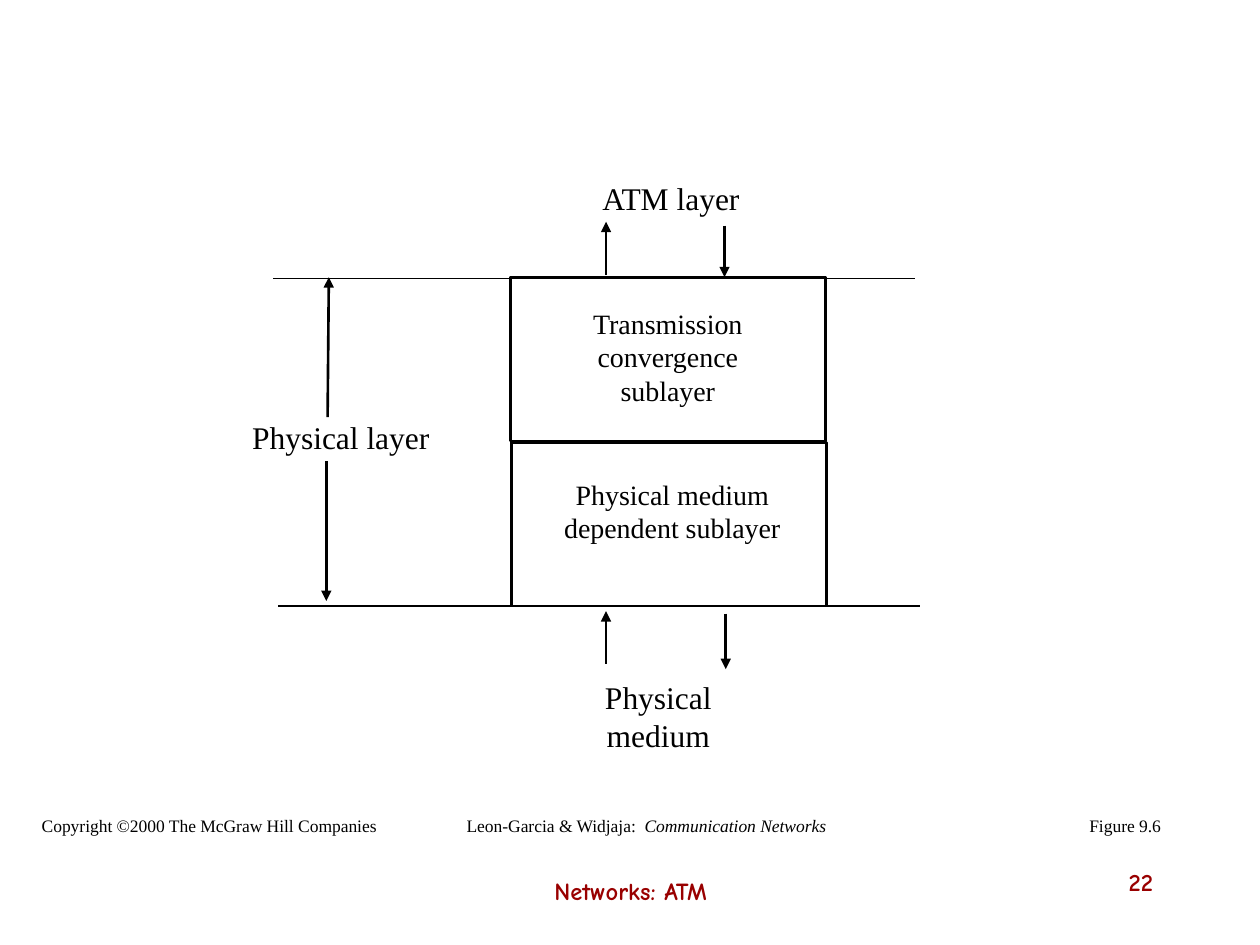
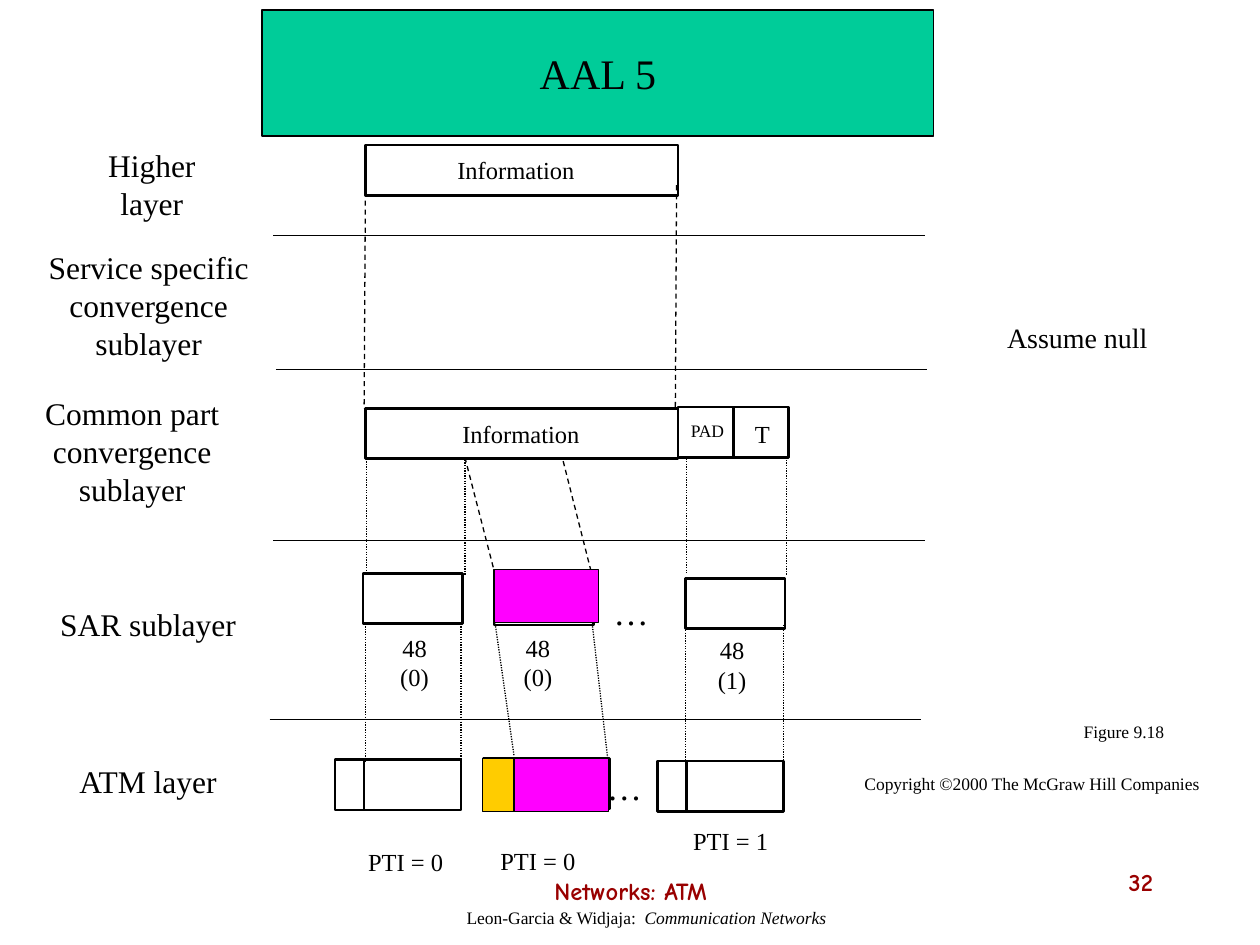
from lxml import etree
from pptx import Presentation
from pptx.dml.color import RGBColor
from pptx.enum.dml import MSO_LINE as Dash
from pptx.enum.shapes import MSO_CONNECTOR as Connector, MSO_SHAPE as Shape
from pptx.enum.text import MSO_ANCHOR as Anchor, MSO_AUTO_SIZE as AutoSize, PP_ALIGN as Align
from pptx.oxml.ns import qn
from pptx.util import Emu, Pt

PX = 9144  # 100 px to the inch
COLORS = {"ink": "000000", "footer": "990000", "title": "00CC99",
          "payload": "FF00FF", "header": "FFCC00"}
SERIF, COMIC = "Times New Roman", "Comic Neue"
TITLE_ONLY, BLANK = 5, 6
THIN, THICK = 0.75, 1.5


def px(*lengths):
    return [Emu(length * PX) for length in lengths]


def color(name):
    return RGBColor.from_string(COLORS[name])


class Deck:
    def __init__(self):
        self.presentation = Presentation()
        self.presentation.slide_width, self.presentation.slide_height = px(1000, 750)

    def new_slide(self, number, title=None):
        layout = self.presentation.slide_layouts[BLANK if title is None else TITLE_ONLY]
        self.slide = self.presentation.slides.add_slide(layout)
        if title is not None:
            self.title(title)
        footer = {"size": 14, "name": COMIC, "bold": True, "ink": "footer", "anchor": Anchor.TOP}
        self.label("Networks: ATM", 342, 690, 317, 42, **footer)
        self.label(number, 717, 683, 208, 50, align=Align.RIGHT, **footer)

    def title(self, text):
        shape = self.slide.shapes.title
        shape.left, shape.top, shape.width, shape.height = px(208, 8, 533, 100)
        self.paint(shape, "title", THIN)
        self.set_text(shape.text_frame, [(text, {})], size=24)

    def paint(self, shape, fill, weight):
        if fill:
            shape.fill.solid()
            shape.fill.fore_color.rgb = color(fill)
        else:
            shape.fill.background()
        shape.line.color.rgb = color("ink")
        shape.line.width = Pt(weight)

    def set_text(self, frame, runs, size, name=SERIF, ink="ink", anchor=Anchor.MIDDLE,
                 align=Align.CENTER, wrap=True, **font_format):
        frame.word_wrap, frame.auto_size = wrap, AutoSize.NONE
        frame.vertical_anchor = anchor
        paragraph = frame.paragraphs[0]
        paragraph.alignment = align
        for text, run_format in runs:
            run = paragraph.add_run()
            run.text = text
            run.font.color.rgb = color(ink)
            values = {"size": Pt(size), "name": name, **font_format, **run_format}
            for attribute, value in values.items():
                setattr(run.font, attribute, value)

    def label(self, text, left, top, width, height, size=18, **text_format):
        """Add a text box; text is a string or a list of (text, font format)."""
        box = self.slide.shapes.add_textbox(*px(left, top, width, height))
        runs = [(text, {})] if isinstance(text, str) else text
        self.set_text(box.text_frame, runs, size, **text_format)

    def box(self, left, top, width, height, fill=None, weight=THICK):
        shape = self.slide.shapes.add_shape(Shape.RECTANGLE, *px(left, top, width, height))
        shape.shadow.inherit = False
        self.paint(shape, fill, weight)
        return shape

    def line(self, x1, y1, x2, y2, weight=THIN, dash=None, arrow=False):
        connector = self.slide.shapes.add_connector(Connector.STRAIGHT, *px(x1, y1, x2, y2))
        connector.line.color.rgb = color("ink")
        connector.line.width = Pt(weight)
        if dash:
            connector.line.dash_style = dash
        properties = connector._element.spPr
        if arrow:
            etree.SubElement(properties.find(qn("a:ln")), qn("a:tailEnd"), type="triangle")
        etree.SubElement(properties, qn("a:effectLst"))
        return connector

    def arrow(self, x1, y1, x2, y2):
        self.line(x1, y1, x2, y2, THICK, arrow=True)

    def credits(self, figure, figure_at, book_at, copyright_at):
        small = {"size": 10, "wrap": False}
        book = [("Leon-Garcia & Widjaja:  ", {}), ("Communication Networks", {"italic": True})]
        self.label(figure, *figure_at, 80, 27, **small)
        self.label(book, *book_at, 306, 27, **small)
        self.label("Copyright ©2000 The McGraw Hill Companies", *copyright_at, 286, 27, **small)


def physical_layer_slide(deck):
    deck.new_slide("22")
    deck.box(405, 220, 250, 130)
    deck.label("Transmission convergence sublayer", 454, 238, 152, 90, size=16)
    deck.box(406, 351, 250, 130)
    deck.label("Physical medium dependent sublayer", 434, 374, 199, 63, size=16)

    for ends in [(481, 218, 481, 176), (575, 179, 575, 220),
                 (481, 527, 481, 485), (576, 487, 576, 531),
                 (260, 331, 261, 220), (259, 366, 259, 477)]:
        deck.arrow(*ends)
    for left, y in [(217, 221), (221, 481)]:
        deck.line(left, y, left + 509, y)

    deck.label("Physical medium", 433, 533, 179, 70)
    deck.label("ATM layer", 443, 137, 179, 40)
    deck.label("Physical layer", 170, 327, 201, 40)
    deck.credits("Figure 9.6", (853, 642), (360, 642), (23, 642))


def aal5_slide(deck):
    deck.new_slide("32", "AAL 5")
    for text, *place in [
            ("Higher layer", 48, 126, 145, 40),
            ("Service specific convergence sublayer", 19, 192, 198, 100),
            ("Common part convergence sublayer", 10, 308, 190, 100),
            ("SAR sublayer", 10, 475, 215, 40),
            ("ATM layer", 10, 600, 215, 40)]:
        deck.label(text, *place)
    deck.label("Assume null", 737, 249, 236, 37, size=16)
    for left, y in [(217, 187), (219, 293), (217, 429), (214, 571)]:
        deck.line(left, y, left + 517, y)

    # Information passed down, then extended by padding and trailer
    for box_top, label_left, label_top in [(115, 299, 118), (324, 303, 327)]:
        deck.box(290, box_top, 248, 40)
        deck.label("Information", label_left, label_top, 221, 34, size=14)
    trailer = deck.box(538, 323, 88, 40)
    divider = deck.line(582, 323, 582, 363, THICK)
    divider.begin_connect(trailer, 0)
    divider.end_connect(trailer, 2)
    deck.label("PAD", 538, 328, 47, 27, size=10, wrap=False)
    deck.label("T", 589, 327, 32, 34, size=14, wrap=False)

    for ends in [(537, 147, 536, 323), (290, 152, 289, 324),
                 (447, 366, 470, 457), (369, 363, 394, 460)]:
        deck.line(*ends, dash=Dash.DASH)
    for x, top in [(291, 362), (369, 365), (545, 364), (624, 365)]:
        deck.line(x, top, x, top + 91, dash=Dash.ROUND_DOT)
    for x, top in [(290, 495), (366, 495), (544, 496), (622, 496)]:
        deck.line(x, top, x, top + 110, dash=Dash.ROUND_DOT)
    for ends in [(393, 495, 408, 600), (470, 495, 483, 608)]:
        deck.line(*ends, dash=Dash.ROUND_DOT)

    # SAR segments and the ATM cells that carry them
    for left, top in [(288, 455), (392, 456), (544, 459)]:
        deck.box(left, top, 79, 40)
    for text, left, top in [("48 (0)", 305, 497), ("48 (0)", 403, 497), ("48 (1)", 557, 499)]:
        deck.label(text, left, top, 48, 57, size=14)
    for left, top, divider_x in [(266, 603, 289), (384, 602, 406), (522, 604, 545)]:
        deck.box(left, top, 100, 40)
        deck.line(divider_x, top, divider_x, top + 40, THICK)
    for text, left, top in [("PTI = 0", 282, 667), ("PTI = 0", 387, 666), ("PTI = 1", 540, 650)]:
        deck.label(text, left, top, 80, 34, size=14, wrap=False)
    for left, top, width in [(477, 463, 48), (469, 602, 53)]:
        deck.label("…", left, top, width, 44, size=20)
    for left, top, width, fill in [(392, 452, 83, "payload"), (408, 602, 75, "payload"),
                                   (383, 602, 25, "header")]:
        deck.box(left, top, width, 42, fill, THIN)
    deck.credits("Figure 9.18", (852, 567), (360, 715), (676, 608))


def main():
    deck = Deck()
    physical_layer_slide(deck)
    aal5_slide(deck)
    deck.presentation.save("out.pptx")


if __name__ == "__main__":
    main()
